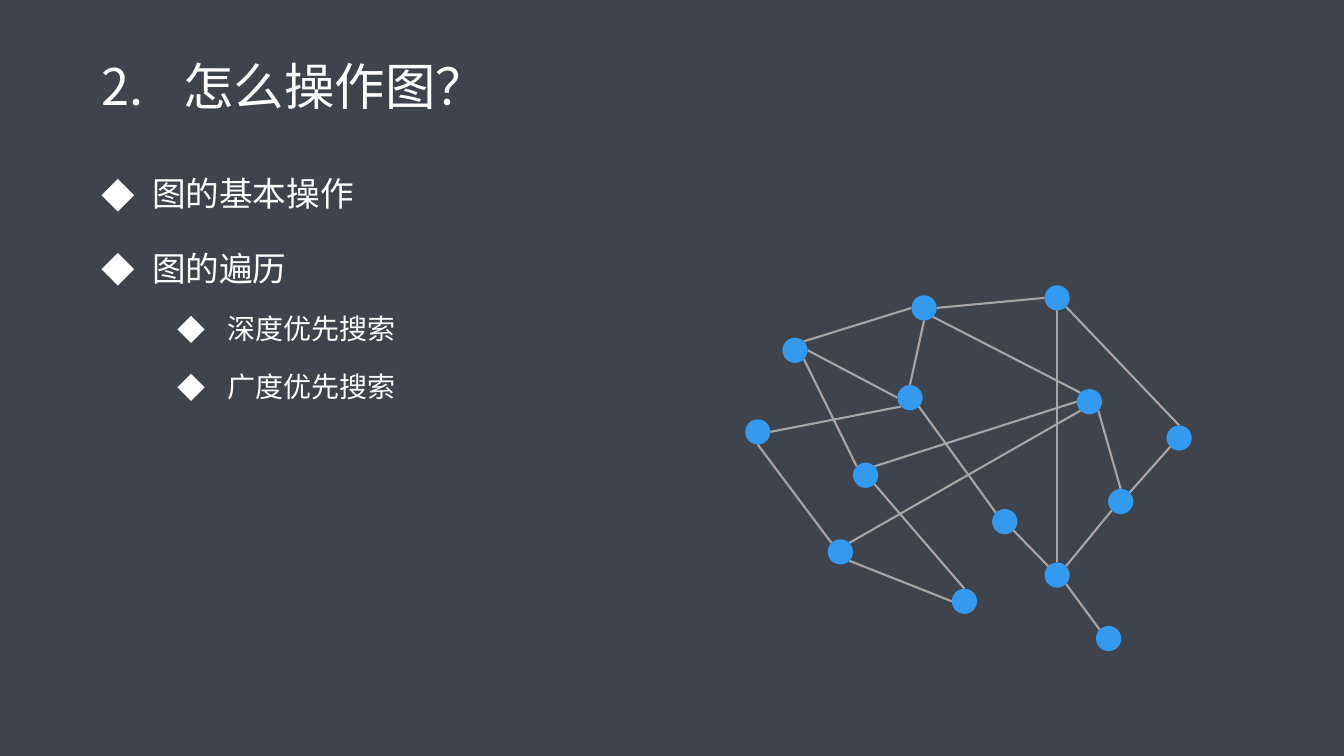
from lxml.etree import SubElement
from pptx import Presentation
from pptx.dml.color import RGBColor
from pptx.enum.shapes import MSO_CONNECTOR, MSO_SHAPE
from pptx.enum.text import MSO_ANCHOR, PP_ALIGN
from pptx.oxml.ns import qn
from pptx.util import Inches, Pt

FONT = "Noto Sans CJK SC"
BACKGROUND, TEXT, NODE, EDGE = "3F434C", "FFFFFF", "339AF0", "A6A6A6"
MARGIN, CONTENT_WIDTH = 0.91, 11.5
TITLE_TOP, TITLE_HEIGHT, BODY_HEIGHT = 0.29, 1.18, 5.62
DIAMETER = 0.25

# text, size, left margin, space before
OUTLINE = [
    ("图的基本操作", 24, 0.5, 0),
    ("图的遍历", 24, 0.5, 10),
    ("深度优先搜索", 20, 1.25, 5),
    ("广度优先搜索", 20, 1.25, 5),
]

# left and top of each graph node
NODES = {
    "A": (7.76, 3.35), "B": (9.04, 2.93), "C": (10.36, 2.83),
    "D": (7.39, 4.16), "E": (8.9, 3.82), "F": (10.68, 3.86),
    "G": (11.57, 4.22), "H": (8.46, 4.59), "I": (9.84, 5.05),
    "J": (10.99, 4.85), "K": (8.21, 5.35), "L": (9.44, 5.84),
    "M": (10.36, 5.58), "N": (10.87, 6.21),
}

# node and compass side at each end
EDGES = [
    ("B", "W", "A", "NE"), ("H", "NW", "A", "SE"), ("F", "W", "H", "NE"),
    ("J", "N", "F", "SE"), ("G", "N", "C", "SE"), ("E", "SW", "D", "E"),
    ("K", "NE", "F", "SW"), ("E", "W", "A", "E"), ("M", "SE", "N", "NW"),
    ("M", "NE", "J", "SW"), ("J", "NE", "G", "SW"), ("M", "N", "C", "S"),
    ("M", "NW", "I", "SE"), ("L", "N", "H", "SE"), ("L", "W", "K", "SE"),
    ("K", "NW", "D", "S"), ("I", "NW", "E", "SE"), ("C", "W", "B", "E"),
    ("F", "NW", "B", "SE"), ("E", "N", "B", "S"),
]


def color(hex_value):
    return RGBColor.from_string(hex_value)


def place(shape, left, top, width, height):
    shape.left, shape.top = Inches(left), Inches(top)
    shape.width, shape.height = Inches(width), Inches(height)


def format_paragraph(paragraph, size, margin, indent, bullet, **attributes):
    """Give a paragraph its hanging bullet and its font, East Asian included."""
    properties = paragraph._p.get_or_add_pPr()
    properties.set("marL", str(Inches(margin)))
    properties.set("indent", str(Inches(-indent)))
    if bullet == "buChar":
        SubElement(properties, qn("a:buFont"), typeface=FONT)
    SubElement(properties, qn(f"a:{bullet}"), **attributes)
    font = paragraph.font
    font.size = Pt(size)
    font.color.rgb = color(TEXT)
    font.name = FONT
    SubElement(properties.find(qn("a:defRPr")), qn("a:ea"), typeface=FONT)


def add_title(slide, text):
    title = slide.shapes.title
    place(title, MARGIN, TITLE_TOP, CONTENT_WIDTH, TITLE_HEIGHT)
    title.text_frame.text = text
    title.text_frame.vertical_anchor = MSO_ANCHOR.MIDDLE
    paragraph = title.text_frame.paragraphs[0]
    paragraph.alignment = PP_ALIGN.LEFT
    paragraph.line_spacing = 0.9
    format_paragraph(paragraph, 36, 0.81, 0.81, "buAutoNum",
                     type="arabicPeriod", startAt="2")


def add_outline(slide):
    box = slide.shapes.add_textbox(0, 0, 0, 0)
    place(box, MARGIN, TITLE_TOP + TITLE_HEIGHT, CONTENT_WIDTH, BODY_HEIGHT)
    frame = box.text_frame
    frame.word_wrap = True
    frame.text = "\n".join(text for text, *_ in OUTLINE)
    for paragraph, (_, size, margin, space) in zip(frame.paragraphs, OUTLINE):
        paragraph.line_spacing = 1.5
        paragraph.space_before = Pt(space)
        format_paragraph(paragraph, size, margin, 0.5, "buChar", char="◆")


def rim_point(node, side):
    """Point on a node's circle in a compass direction."""
    left, top = NODES[node]
    reach = DIAMETER / 2 * (0.5 ** 0.5 if len(side) == 2 else 1)
    across = ("E" in side) - ("W" in side)
    down = ("S" in side) - ("N" in side)
    return (Inches(left + DIAMETER / 2 + across * reach),
            Inches(top + DIAMETER / 2 + down * reach))


def add_edge(group, start, start_side, end, end_side):
    line = group.shapes.add_connector(
        MSO_CONNECTOR.STRAIGHT,
        *rim_point(start, start_side), *rim_point(end, end_side))
    line.line.color.rgb = color(EDGE)
    line.line.width = Pt(1.5)
    SubElement(line._element.spPr, qn("a:effectLst"))


def add_node(group, left, top):
    node = group.shapes.add_shape(
        MSO_SHAPE.OVAL, Inches(left), Inches(top),
        Inches(DIAMETER), Inches(DIAMETER))
    node.shadow.inherit = False
    node.fill.solid()
    node.fill.fore_color.rgb = color(NODE)
    node.line.fill.background()


def add_graph(slide):
    group = slide.shapes.add_group_shape()
    for edge in EDGES:
        add_edge(group, *edge)
    for position in NODES.values():
        add_node(group, *position)


def main():
    presentation = Presentation()
    presentation.slide_width = Inches(13.33)
    presentation.slide_height = Inches(7.5)
    slide = presentation.slides.add_slide(presentation.slide_layouts[5])
    slide.background.fill.solid()
    slide.background.fill.fore_color.rgb = color(BACKGROUND)
    add_title(slide, "怎么操作图？")
    add_outline(slide)
    add_graph(slide)
    presentation.save("out.pptx")


if __name__ == "__main__":
    main()
